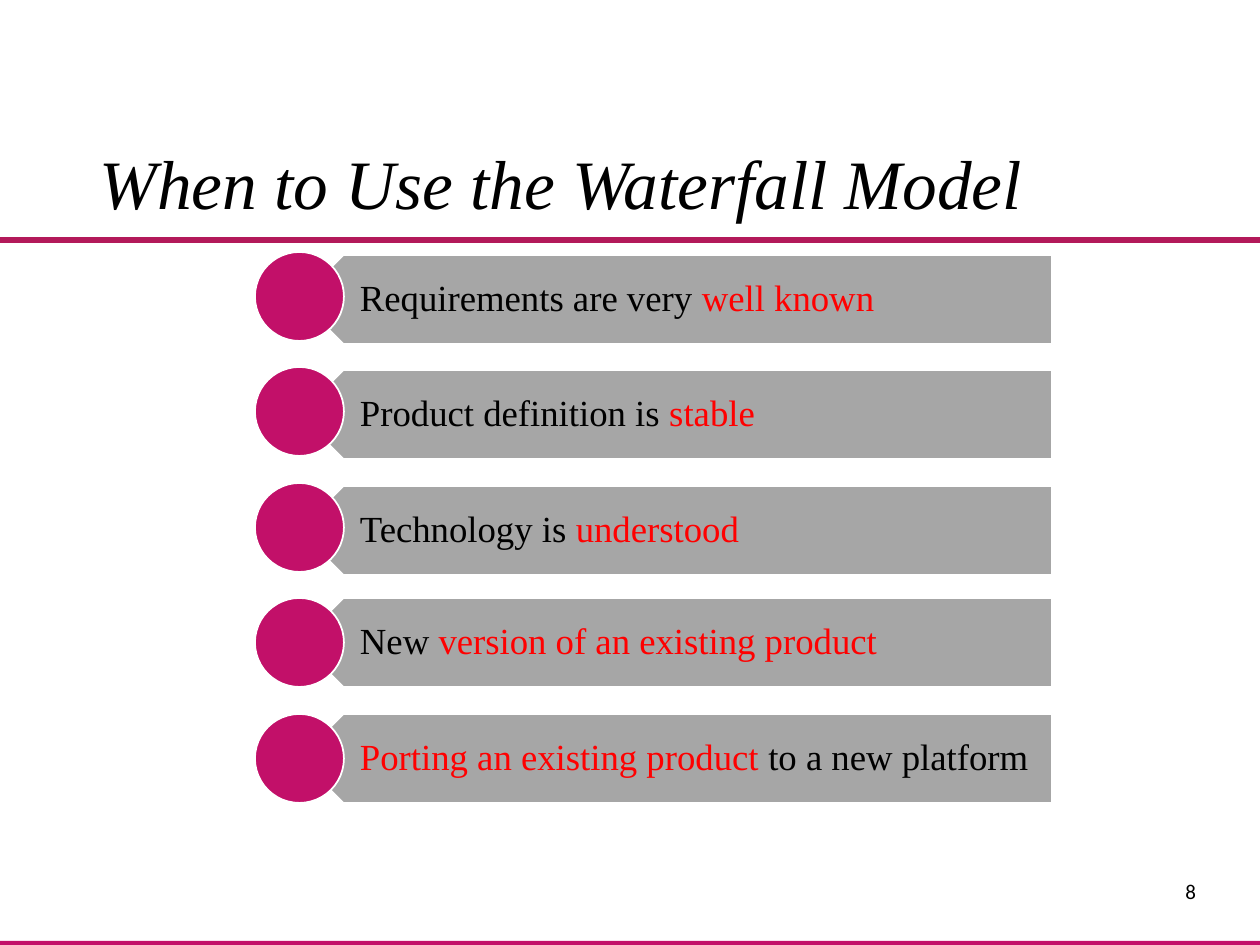
from typing import NamedTuple

from pptx import Presentation
from pptx.dml.color import RGBColor
from pptx.enum.shapes import MSO_SHAPE
from pptx.enum.text import MSO_ANCHOR
from pptx.util import Emu, Pt

MAGENTA = RGBColor(0xC2, 0x10, 0x69)
DARK_MAGENTA = RGBColor(0xB3, 0x19, 0x5A)
GRAY = RGBColor(0xA6, 0xA6, 0xA6)
WHITE = RGBColor(0xFF, 0xFF, 0xFF)
BLACK = RGBColor(0x00, 0x00, 0x00)
RED = RGBColor(0xFF, 0x00, 0x00)
SERIF = "Times New Roman"

SIZE = 89
FIRST_TOP = 252
TWO_ROWS = 231


class Box(NamedTuple):
    x: int
    y: int
    w: int
    h: int


class Run(NamedTuple):
    text: str
    color: RGBColor = BLACK


class Item(NamedTuple):
    runs: list[Run]
    bar_drop: int = 0


ITEMS = [
    Item([Run("Requirements are very "), Run("well known", RED)], 3),
    Item([Run("Product definition is "), Run("stable", RED)], 3),
    Item([Run("Technology is "), Run("understood", RED)], 3),
    Item([Run("New "), Run("version of an existing product", RED)]),
    Item([Run("Porting an existing product ", RED), Run("to a new platform")]),
]


def px(n: int) -> Emu:
    return Emu(round(n * 914400 / 126))


def add_filled(shapes, kind: MSO_SHAPE, box: Box, fill: RGBColor, outlined: bool = False):
    sp = shapes.add_shape(kind, *map(px, box))
    sp.shadow.inherit = False
    sp.fill.solid()
    sp.fill.fore_color.rgb = fill
    if outlined:
        sp.line.color.rgb = WHITE
        sp.line.width = Pt(1)
    else:
        sp.line.fill.background()
    return sp


def add_text(shapes, box: Box, runs: list[Run], size: float, font: str = SERIF,
             italic: bool = False, spacing: float = 0.9,
             anchor: MSO_ANCHOR = MSO_ANCHOR.MIDDLE):
    tf = shapes.add_textbox(*map(px, box)).text_frame
    tf.word_wrap = True
    tf.vertical_anchor = anchor
    p = tf.paragraphs[0]
    p.line_spacing = spacing
    p.font.size = Pt(size)
    p.font.name = font
    p.font.italic = italic
    for run in runs:
        r = p.add_run()
        r.text = run.text
        r.font.color.rgb = run.color
    return tf


def add_item(shapes, item: Item, y: int) -> None:
    bar_y = y + item.bar_drop
    bar = add_filled(shapes, MSO_SHAPE.PENTAGON, Box(299, bar_y, 753, SIZE), GRAY, True)
    bar.rotation = 180
    tf = add_text(shapes, Box(321, bar_y, 732, SIZE), item.runs, 21)
    tf.margin_left, tf.margin_right = px(39), px(20)
    tf.margin_top = tf.margin_bottom = px(11)
    add_filled(shapes, MSO_SHAPE.OVAL, Box(255, y, SIZE, SIZE), MAGENTA, True)


def main() -> None:
    prs = Presentation()
    prs.slide_width, prs.slide_height = px(1260), px(945)
    s = prs.slides.add_slide(prs.slide_layouts[6])

    add_filled(s.shapes, MSO_SHAPE.RECTANGLE, Box(-1, 941, 1261, 9), MAGENTA)
    add_filled(s.shapes, MSO_SHAPE.RECTANGLE, Box(-1, 237, 1261, 6), DARK_MAGENTA)
    add_text(s.shapes, Box(87, 142, 1086, 91),
             [Run("When to Use the Waterfall Model")], 39.6, italic=True)

    group = s.shapes.add_group_shape()
    for i, item in enumerate(ITEMS):
        add_item(group.shapes, item, FIRST_TOP + i * TWO_ROWS // 2)

    add_text(s.shapes, Box(1173, 872, 57, 38), [Run("8")], 12, "Calibri",
             spacing=1.0, anchor=MSO_ANCHOR.TOP)
    prs.save("out.pptx")


if __name__ == "__main__":
    main()
